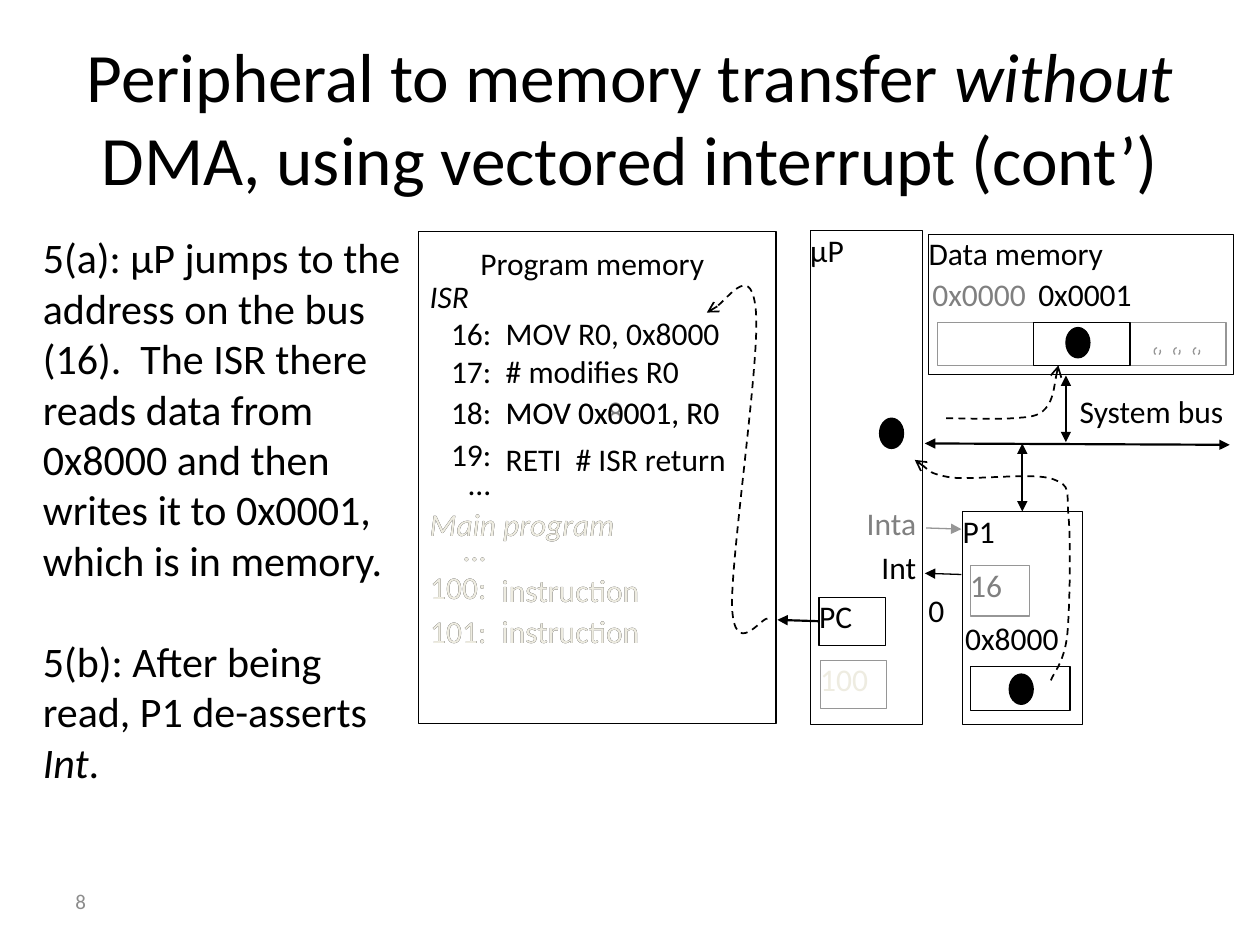
from pptx import Presentation
from pptx.dml.color import RGBColor
from pptx.enum.dml import MSO_LINE
from pptx.enum.shapes import MSO_CONNECTOR, MSO_SHAPE
from pptx.enum.text import MSO_ANCHOR, PP_ALIGN
from pptx.oxml.ns import qn
from pptx.util import Pt
from lxml import etree

RECT, OVAL = MSO_SHAPE.RECTANGLE, MSO_SHAPE.OVAL
LEFT, CENTER, RIGHT = PP_ALIGN.LEFT, PP_ALIGN.CENTER, PP_ALIGN.RIGHT
TOP, MIDDLE = MSO_ANCHOR.TOP, MSO_ANCHOR.MIDDLE
DASH = MSO_LINE.DASH
FONT = "Calibri"
COLORS = {"black": "000000", "gray": "808080", "line": "969696",
          "faded": "EEECE1", "number": "8C8C8C"}

TITLE = [("Peripheral to memory transfer ", False), ("without", True),
         (" DMA, using vectored interrupt (cont’)", False)]
STEPS = [
    [("5(a): μP jumps to the address on the bus (16).  The ISR there reads data "
      "from 0x8000 and then writes it to 0x0001, which is in memory.", False)],
    [("5(b): After being read, P1 de-asserts ", False), ("Int", True), (".", False)],
]

# Boxes: name, left, top, width, height, text, text colour, line colour
BOXES = [
    ("processor", 463, 131.8, 64, 282.2, "μP", "black", "black"),
    ("program memory", 239, 132.5, 204.5, 280.8, "", "black", "black"),
    ("P1", 550, 292.3, 68.4, 121.7, "P1", "black", "black"),
    ("P1 vector", 554.4, 323.3, 33.8, 28.8, "16", "gray", "line"),
    ("P1 register", 554.4, 381, 57, 25.2, "", "black", "black"),
    ("PC", 468, 341.3, 38, 27.4, "PC", "black", "black"),
    ("PC value", 468.7, 377.3, 38, 27.4, "100", "faded", "line"),
    ("data memory", 530.6, 134, 174.2, 80, "Data memory", "black", "black"),
]
CELL_LEFT, CELL_TOP, CELL_WIDTH, CELL_HEIGHT = 535.7, 184.3, 55, 24.5
CELLS = [(0, "line"), (2, "line"), (1, "black")]
DATA_DOTS = [(576.7, 385.2), (502.6, 239), (609.1, 187.2)]

# Labels: left, top, width, text, colour, alignment
LABELS = [
    (274.5, 139.7, 140, "Program memory", "black", LEFT),
    (532.8, 157, 57, "0x0000", "gray", LEFT),
    (593.3, 157, 59, "0x0001", "black", LEFT),
    (617, 224, 91, "System bus", "black", LEFT),
    (551.5, 353.5, 60, "0x8000", "black", LEFT),
    (490, 288, 33.5, "Inta", "gray", RIGHT),
    (490, 313.2, 33.5, "Int", "black", RIGHT),
    (530.6, 337.7, 16.6, "0", "black", LEFT),
]

# Code rows: number top, number, instruction top, instruction
NUMBER_LEFT, ISR_RIGHT, MAIN_RIGHT = 236, 280.8, 278
ISR_ROWS = [
    (179.3, "16:", 179.3, "MOV R0, 0x8000"),
    (200.9, "17:", 200.9, "# modifies R0"),
    (224.6, "18:", 224.6, "MOV 0x0001, R0"),
    (248.4, "19:", 251.3, "RETI  # ISR return"),
    (265, "...", 265, ""),
]
MAIN_ROWS = [
    (303.1, "...", 303.1, ""),
    (324.7, "100:", 326.2, "instruction"),
    (349.9, "101:", 349.9, "instruction"),
]

# Arrows: start, end, colour, width, double-headed, box at start, box at end
ARROWS = [
    ((528.5, 253.4), (702.7, 254.2), "black", 1.25, True, None, None),
    ((584.2, 253.4), (584.2, 292.3), "black", 1.25, True, None, ("P1", 0)),
    ((609.1, 214.6), (609.1, 252.7), "black", 1.25, True, None, None),
    ((468, 355), (444.2, 354.2), "black", 1.25, False, ("PC", 1), None),
    ((549.4, 328.3), (528.5, 327.6), "black", 0.75, False, None, None),
    ((529.2, 301.7), (549.4, 302.4), "line", 0.75, False, None, None),
]

# Dashed curves: start, then two control points and an end for each segment
CURVES = [
    [(438.5, 353.5), (434.9, 352.8), (419.8, 376.6), (418.3, 347),
     (417.6, 317.5), (434.2, 206.6), (432, 178.6),
     (429.8, 149.8), (409.7, 178.6), (403.9, 178.6)],
    [(600.5, 388.8), (601.9, 384.5), (607.7, 379.4), (609.8, 363.6),
     (611.3, 348.5), (612, 310.3), (610.6, 295.2),
     (609.1, 280.1), (612.7, 277.9), (601.2, 273.6),
     (590.4, 270), (556.6, 274.3), (543.6, 272.9),
     (530.6, 270.7), (527, 265), (522.7, 262.8)],
    [(540.7, 239), (547.2, 239), (569.5, 239.8), (578.9, 239),
     (588.2, 238.3), (593.3, 238.3), (597.6, 233.3),
     (601.9, 228.2), (603.4, 213.8), (604.8, 208.8)],
]


def rgb(color):
    return RGBColor.from_string(COLORS[color])


def write(frame, paragraphs, size, color, align=LEFT, anchor=TOP, inset=0, gap=0):
    frame.word_wrap = True
    frame.vertical_anchor = anchor
    if inset is not None:
        frame.margin_left = frame.margin_right = Pt(inset)
        frame.margin_top = frame.margin_bottom = Pt(inset)
    for index, spans in enumerate(paragraphs):
        para = frame.add_paragraph() if index else frame.paragraphs[0]
        para.alignment = align
        if index:
            para.space_before = Pt(gap)
        para.font.name, para.font.size = FONT, Pt(size)
        para.font.color.rgb = rgb(color)
        for text, italic in spans:
            span = para.add_run()
            span.text = text
            if italic:
                span.font.italic = True


def add_label(left, top, width, text, color, align=LEFT, italic=False):
    box = page.shapes.add_textbox(Pt(left), Pt(top), Pt(width), Pt(25))
    write(box.text_frame, [[(text, italic)]], 18, color, align)


def add_outline(kind, left, top, width, height, color, fill=None):
    shape = page.shapes.add_shape(kind, Pt(left), Pt(top), Pt(width), Pt(height))
    shape.shadow.inherit = False
    shape.line.color.rgb = rgb(color)
    shape.line.width = Pt(0.75)
    if fill:
        shape.fill.solid()
        shape.fill.fore_color.rgb = rgb(fill)
    else:
        shape.fill.background()
    return shape


def add_heads(shape, kind, ends=("tailEnd",)):
    outline = shape._element.spPr.find(qn("a:ln"))
    for end in ends:
        etree.SubElement(outline, qn("a:" + end), type=kind)


def add_arrow(start, end, color, width, double, start_box, end_box):
    arrow = page.shapes.add_connector(
        MSO_CONNECTOR.STRAIGHT, *(Pt(value) for value in start + end))
    if start_box:
        arrow.begin_connect(boxes[start_box[0]], start_box[1])
    if end_box:
        arrow.end_connect(boxes[end_box[0]], end_box[1])
    arrow.line.color.rgb = rgb(color)
    arrow.line.width = Pt(width)
    add_heads(arrow, "triangle", ("headEnd", "tailEnd") if double else ("tailEnd",))
    etree.SubElement(arrow._element.spPr, qn("a:effectLst"))


def add_curve(points):
    start, *rest = [(round(x * 100), round(y * 100)) for x, y in points]
    builder = page.shapes.build_freeform(*start, scale=Pt(1) / 100)
    builder.add_line_segments(rest, close=False)
    curve = builder.convert_to_shape()
    # Every three line points become one Bézier segment
    segments = list(curve._element.iter(qn("a:lnTo")))
    for index in range(0, len(segments), 3):
        bezier = etree.Element(qn("a:cubicBezTo"))
        segments[index].addprevious(bezier)
        for segment in segments[index:index + 3]:
            bezier.append(segment[0])
            segment.getparent().remove(segment)
    curve.shadow.inherit = False
    curve.fill.background()
    curve.line.color.rgb = rgb("black")
    curve.line.width = Pt(1)
    curve.line.dash_style = DASH
    add_heads(curve, "arrow")


def add_listing(heading, heading_top, rows, right, code_left, color):
    add_label(245.5, heading_top, 120, heading, color, italic=True)
    for number_top, number, code_top, code in rows:
        add_label(NUMBER_LEFT, number_top, right - NUMBER_LEFT, number, color, RIGHT)
        if code:
            add_label(code_left, code_top, 156, code, color)


deck = Presentation()
deck.slide_width, deck.slide_height = Pt(720), Pt(540)
page = deck.slides.add_slide(deck.slide_layouts[5])

# Title, steps and page number
title = page.shapes.title
title.left, title.top, title.width, title.height = Pt(36), Pt(21.6), Pt(648), Pt(90)
write(title.text_frame, [TITLE], 39.6, "black", CENTER, MIDDLE, None)
steps = page.shapes.add_textbox(Pt(24.5), Pt(132.5), Pt(209.5), Pt(204))
write(steps.text_frame, STEPS, 24, "black", gap=29)
number_box = page.shapes.add_textbox(Pt(36), Pt(500.5), Pt(168), Pt(28.8))
write(number_box.text_frame, [[("8", False)]], 12, "number", anchor=MIDDLE, inset=None)

# Blocks, memory cells and data dots
boxes = {}
for name, left, top, width, height, text, color, line in BOXES:
    boxes[name] = add_outline(RECT, left, top, width, height, line)
    if text:
        write(boxes[name].text_frame, [[(text, False)]], 18, color)
for column, line in CELLS:
    add_outline(RECT, CELL_LEFT + column * CELL_WIDTH, CELL_TOP, CELL_WIDTH, CELL_HEIGHT, line)
for step in range(3):
    add_outline(OVAL, 659.5 + step * 11.2, 198.7, 3.6, 4.3, "line").line.dash_style = DASH
for left, top in DATA_DOTS:
    add_outline(OVAL, left, top, 13.7, 17.3, "black", "black")

# Program listings: the gray earlier address and the dark edge of faded code show through
add_label(289, 224.6, 156, "MOV 0x8001, R0", "gray")
add_listing("ISR", 158.4, ISR_ROWS, ISR_RIGHT, 289, "black")
for color in ("black", "faded"):
    add_listing("Main program", 288.7, MAIN_ROWS, MAIN_RIGHT, 286.6, color)

# Labels, arrows and data paths
for label in LABELS:
    add_label(*label)
for arrow in ARROWS:
    add_arrow(*arrow)
for points in CURVES:
    add_curve(points)

deck.save("out.pptx")
